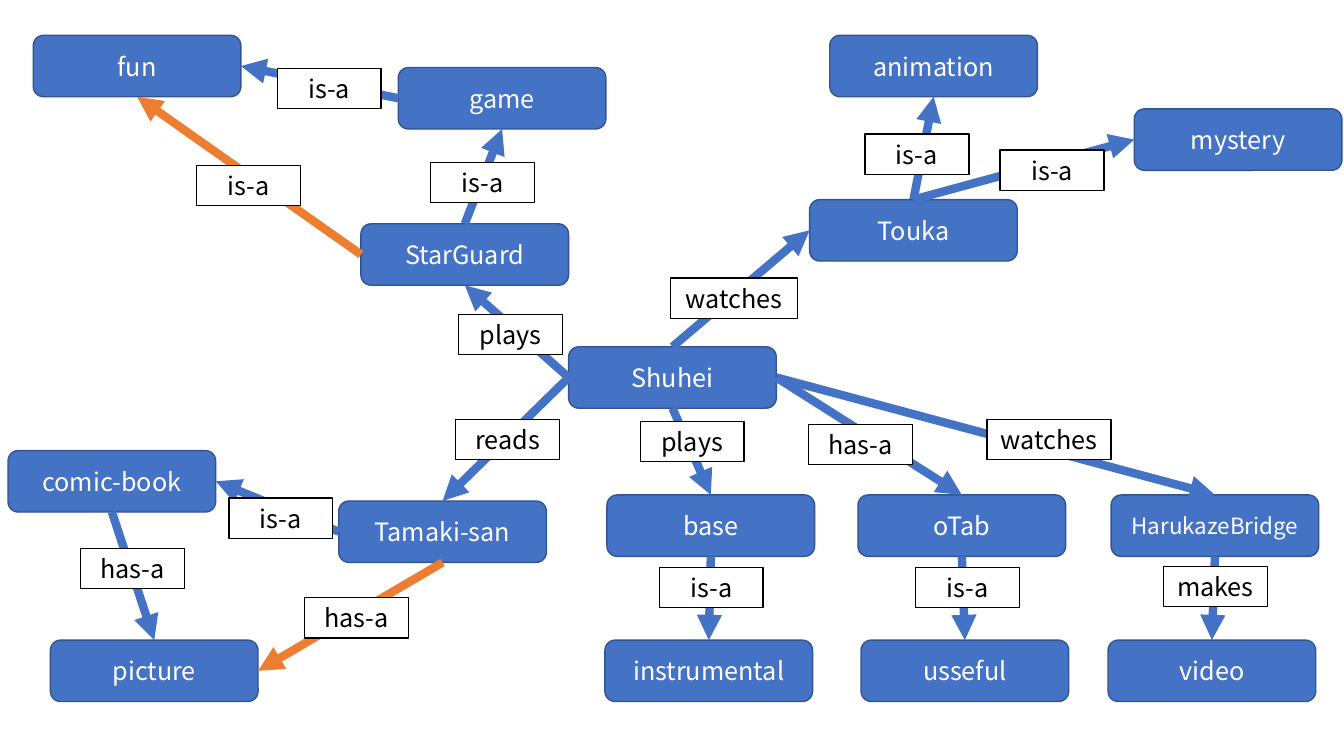
from lxml import etree
from pptx import Presentation, util as u
from pptx.dml.color import RGBColor
from pptx.enum import shapes, text
from pptx.oxml.ns import qn

BLUE, EDGE, ORANGE, WHITE, BLACK = "4472C4", "325491", "ED7D31", "FFFFFF", "000000"
FONT = "Noto Sans CJK JP"
SITES = {"top": 0, "left": 1, "bottom": 2, "right": 3}


def color(value):
    return RGBColor.from_string(value)


def write(box, words, size=18, ink=BLACK):
    frame = box.text_frame
    frame.word_wrap = True
    frame.vertical_anchor = text.MSO_ANCHOR.MIDDLE
    para = frame.paragraphs[0]
    para.alignment = text.PP_ALIGN.CENTER
    span = para.add_run()
    span.text = words
    span.font.name = FONT
    span.font.size = u.Pt(size)
    span.font.color.rgb = color(ink)
    latin = span.font._element.find(qn("a:latin"))
    east = etree.Element(qn("a:ea"), typeface=FONT)
    latin.addnext(east)


class Diagram:
    node_size = (2.06, 0.61)
    label_height = 0.4

    def __init__(self, page):
        self.page = page
        self.nodes = {}

    def box(self, preset, left, top, width, height, fill, edge):
        box = self.page.shapes.add_shape(
            preset, *(u.Inches(length) for length in (left, top, width, height)))
        box.shadow.inherit = False
        box.fill.solid()
        box.fill.fore_color.rgb = color(fill)
        box.line.color.rgb = color(edge)
        box.line.width = u.Pt(1)
        return box

    def node(self, words, left, top, size=18):
        box = self.box(shapes.MSO_SHAPE.ROUNDED_RECTANGLE, left, top,
                       *self.node_size, BLUE, EDGE)
        write(box, words, size, WHITE)
        self.nodes[words] = box

    def arrow(self, source, start, target, end, ink=BLUE):
        line = self.page.shapes.add_connector(shapes.MSO_CONNECTOR.STRAIGHT, 0, 0, 0, 0)
        line.begin_connect(self.nodes[source], SITES[start])
        line.end_connect(self.nodes[target], SITES[end])
        line.line.color.rgb = color(ink)
        line.line.width = u.Pt(6)
        etree.SubElement(line.line._get_or_add_ln(), qn("a:tailEnd"), type="triangle")
        etree.SubElement(line._element.spPr, qn("a:effectLst"))

    def label(self, words, left, top, width=1.03):
        box = self.box(shapes.MSO_SHAPE.RECTANGLE, left, top,
                       width, self.label_height, WHITE, BLACK)
        write(box, words)


deck = Presentation()
deck.slide_width, deck.slide_height = u.Inches(13.33), u.Inches(7.5)
diagram = Diagram(deck.slides.add_slide(deck.slide_layouts[6]))

MIDDLE_ROW, BOTTOM_ROW = 4.91, 6.35

for node in [
    ("Shuhei", 5.64, 3.44),
    ("game", 3.95, 0.67),
    ("fun", 0.33, 0.35),
    ("StarGuard", 3.58, 2.22),
    ("HarukazeBridge", 11.02, MIDDLE_ROW, 16),
    ("video", 10.99, BOTTOM_ROW),
    ("base", 6.02, MIDDLE_ROW),
    ("instrumental", 6, BOTTOM_ROW),
    ("Touka", 8.03, 1.98),
    ("animation", 8.23, 0.35),
    ("mystery", 11.25, 1.08),
    ("Tamaki-san", 3.36, 4.97),
    ("comic-book", 0.08, 4.47),
    ("picture", 0.5, BOTTOM_ROW),
    ("oTab", 8.51, MIDDLE_ROW),
    ("usseful", 8.54, BOTTOM_ROW),
]:
    diagram.node(*node)

for arrow in [
    ("Shuhei", "top", "Touka", "left"),
    ("Touka", "top", "animation", "bottom"),
    ("Touka", "top", "mystery", "left"),
    ("Shuhei", "left", "StarGuard", "bottom"),
    ("StarGuard", "top", "game", "bottom"),
    ("game", "left", "fun", "right"),
    ("Shuhei", "bottom", "base", "top"),
    ("base", "bottom", "instrumental", "top"),
    ("Shuhei", "right", "oTab", "top"),
    ("oTab", "bottom", "usseful", "top"),
    ("Shuhei", "right", "HarukazeBridge", "top"),
    ("HarukazeBridge", "bottom", "video", "top"),
    ("Shuhei", "left", "Tamaki-san", "top"),
    ("Tamaki-san", "left", "comic-book", "right"),
    ("comic-book", "bottom", "picture", "top"),
    ("StarGuard", "left", "fun", "bottom", ORANGE),
    ("Tamaki-san", "bottom", "picture", "right", ORANGE),
]:
    diagram.arrow(*arrow)

for label in [
    ("watches", 6.65, 2.76, 1.26),
    ("plays", 4.55, 3.12),
    ("is-a", 4.27, 1.61),
    ("is-a", 2.75, 0.68),
    ("is-a", 1.95, 1.64),
    ("reads", 4.52, 4.16),
    ("is-a", 2.27, 4.94),
    ("has-a", 0.8, 5.44),
    ("has-a", 3.02, 5.93),
    ("plays", 6.35, 4.18),
    ("has-a", 8.02, 4.21),
    ("watches", 9.79, 4.16, 1.23),
    ("is-a", 6.54, 5.63),
    ("is-a", 9.08, 5.63),
    ("makes", 11.54, 5.62),
    ("is-a", 8.58, 1.33),
    ("is-a", 9.92, 1.49),
]:
    diagram.label(*label)

deck.save("out.pptx")
